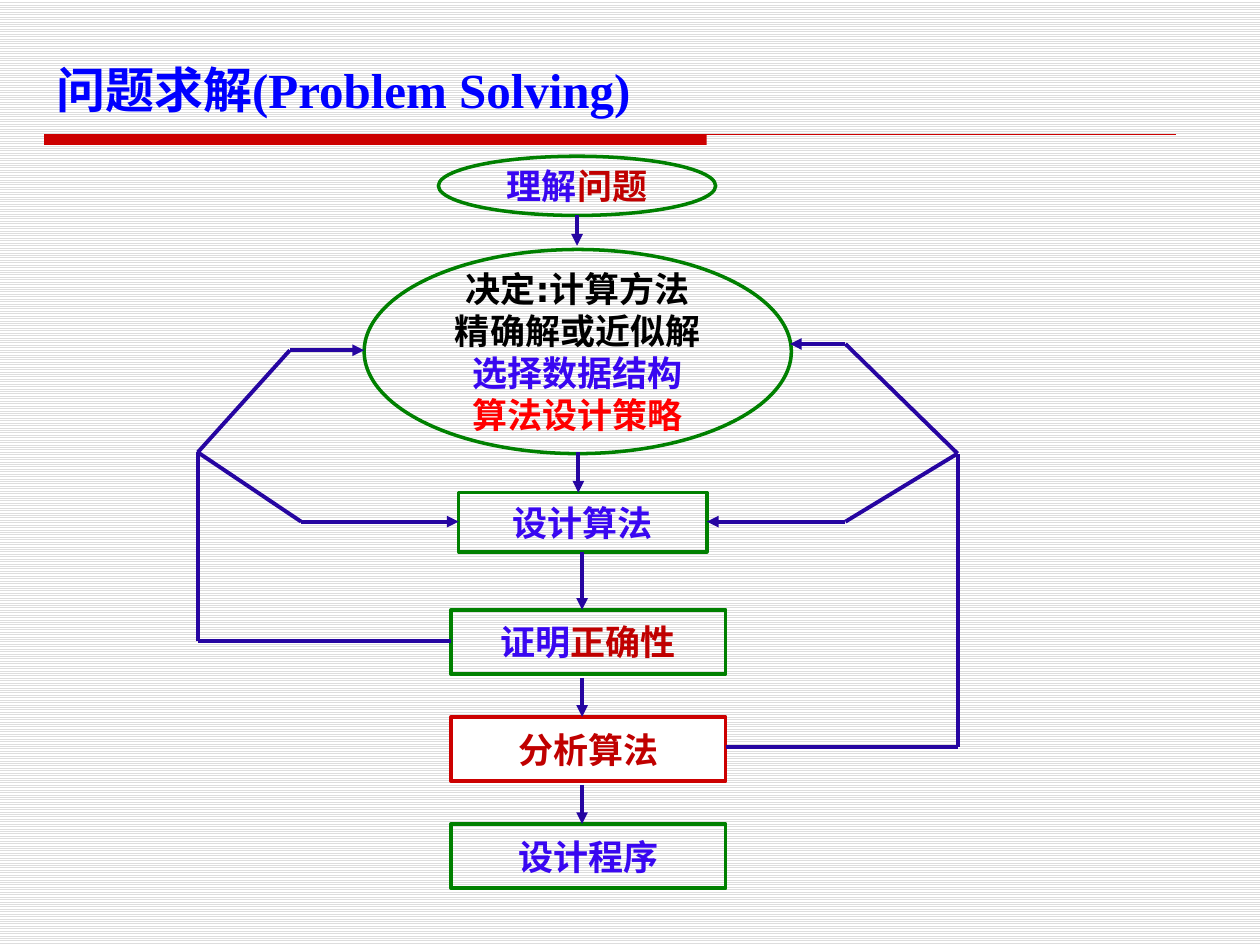
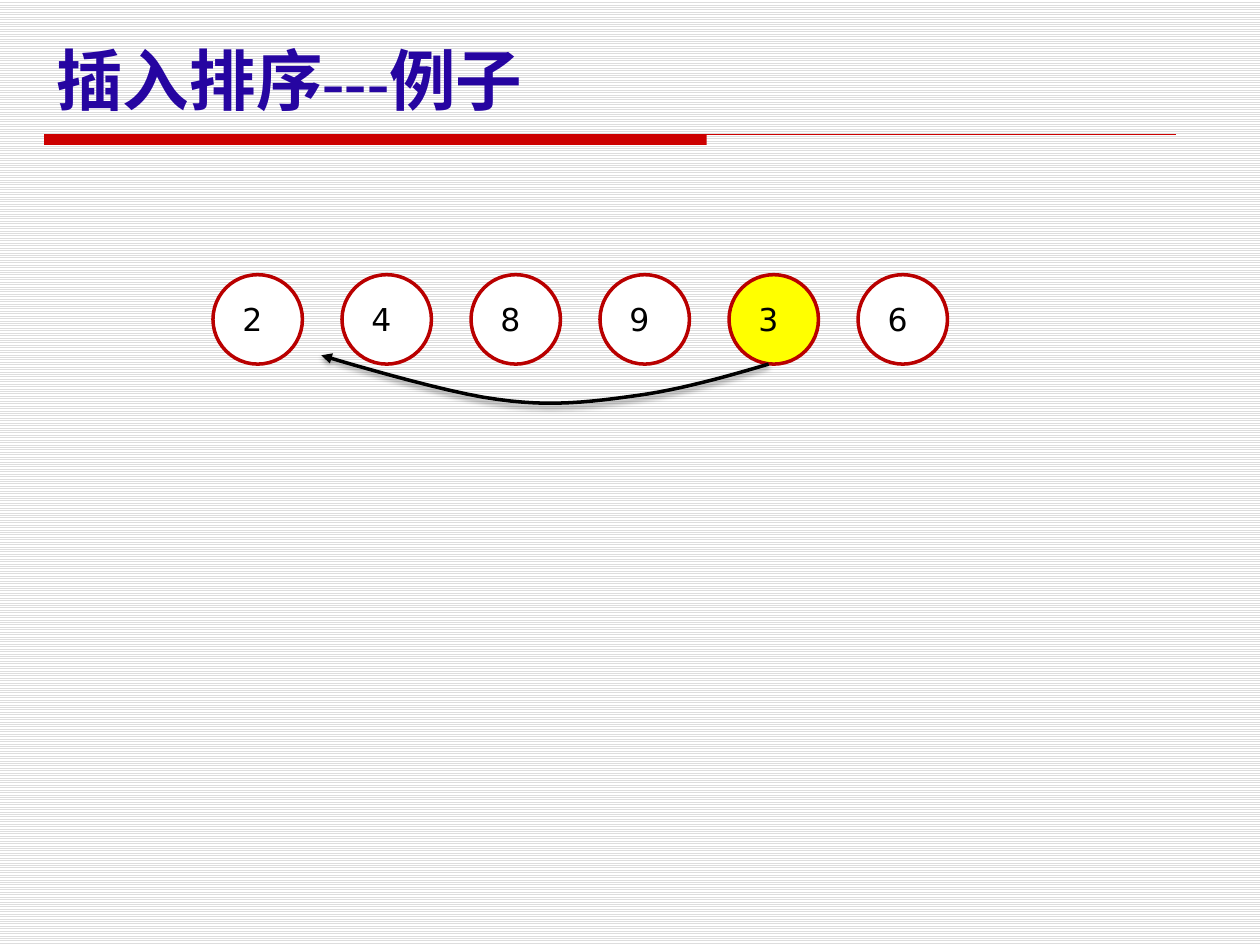
from dataclasses import dataclass
from itertools import pairwise

from lxml import etree
from pptx import Presentation
from pptx.dml.color import RGBColor
from pptx.enum.dml import MSO_PATTERN
from pptx.enum.shapes import MSO_CONNECTOR, MSO_SHAPE
from pptx.enum.text import MSO_ANCHOR, PP_ALIGN
from pptx.oxml.ns import qn
from pptx.util import Inches, Pt


@dataclass(frozen=True)
class Theme:
    stripe: str = "DDDDDD"
    white: str = "FFFFFF"
    black: str = "000000"
    band: str = "CC0000"
    blue: str = "0000FF"
    indigo: str = "2605A1"
    violet: str = "3907F1"
    crimson: str = "C00000"
    red: str = "FF0000"
    green: str = "008000"
    ring: str = "B90000"
    yellow: str = "FFFF00"
    title_font: str = "Times New Roman"
    step_font: str = "Arial"
    body_font: str = "DejaVu Sans"
    step_size: int = 20
    number_size: int = 18
    outline: float = 2
    arrow: float = 2.25
    hairline: float = 0.75


THEME = Theme()


def rgb(value):
    return RGBColor.from_string(value)


def write(shape, lines, color_free_format, align, anchor, margins=None, wrap=False):
    """Fill the shape with lines, each a list of (text, colour) runs."""
    frame = shape.text_frame
    settings = {"word_wrap": wrap, "vertical_anchor": anchor, **(margins or {})}
    for name, value in settings.items():
        setattr(frame, name, value)
    for index, runs in enumerate(lines):
        paragraph = frame.add_paragraph() if index else frame.paragraphs[0]
        paragraph.alignment = align
        for text, color in runs:
            run = paragraph.add_run()
            run.text = text
            for name, value in color_free_format.items():
                setattr(run.font, name, value)
            run.font.color.rgb = rgb(color)


def add_outlined(slide, kind, left, top, width, height, outline, fill=None):
    shape = slide.shapes.add_shape(
        kind, Inches(left), Inches(top), Inches(width), Inches(height))
    shape.shadow.inherit = False
    if fill:
        shape.fill.solid()
        shape.fill.fore_color.rgb = rgb(fill)
    else:
        shape.fill.background()
    if outline:
        shape.line.color.rgb = rgb(outline)
        shape.line.width = Pt(THEME.outline)
    else:
        shape.line.fill.background()
    return shape


def add_arrowhead(shape):
    line = shape.element.spPr.find(qn("a:ln"))
    etree.SubElement(line, qn("a:tailEnd"), type="triangle")


def add_route(slide, points, color, width, arrow=False):
    """Join the points with straight connectors, the last one with an arrowhead if asked."""
    for start, end in pairwise(points):
        segment = slide.shapes.add_connector(
            MSO_CONNECTOR.STRAIGHT, *map(Inches, (*start, *end)))
        segment.line.color.rgb = rgb(color)
        segment.line.width = Pt(width)
        etree.SubElement(segment.element.spPr, qn("a:effectLst"))
    if arrow:
        add_arrowhead(segment)


def add_title_band(slide, left, top, width):
    add_outlined(slide, MSO_SHAPE.RECTANGLE, left, top, 5.26, 0.08, None, THEME.band)
    add_route(slide, [(left, top), (left + width, top)], THEME.band, THEME.hairline)


def add_titled_slide(deck, title, size, color):
    slide = deck.slides.add_slide(deck.slide_layouts[6])
    backdrop = slide.background.fill
    backdrop.patterned()
    backdrop.pattern = MSO_PATTERN.LIGHT_HORIZONTAL
    backdrop.fore_color.rgb = rgb(THEME.stripe)
    backdrop.back_color.rgb = rgb(THEME.white)
    add_title_band(slide, 0.35, 1.07, 8.98)
    heading = slide.shapes.add_textbox(
        Inches(0.35), Inches(0.33), Inches(9.37), Inches(0.66))
    write(heading, [[(title, color)]],
          {"name": THEME.title_font, "size": Pt(size), "bold": True},
          PP_ALIGN.LEFT, MSO_ANCHOR.BOTTOM, wrap=True)
    return slide


def add_flowchart(slide, left, top):
    def node(kind, x, y, width, height, font, lines, outline=THEME.green, fill=None):
        shape = add_outlined(
            slide, kind, left + x, top + y, width, height, outline, fill)
        write(shape, lines,
              {"name": font, "size": Pt(THEME.step_size), "bold": True},
              PP_ALIGN.CENTER, MSO_ANCHOR.MIDDLE)

    def route(points, arrow=True):
        add_route(slide, [(left + x, top + y) for x, y in points],
                  THEME.indigo, THEME.arrow, arrow)

    final_steps = [
        ([("证明", THEME.violet), ("正确性", THEME.crimson)], THEME.green, None),
        ([("分析算法", THEME.crimson)], THEME.band, THEME.white),
        ([("设计程序", THEME.violet)], THEME.green, None),
    ]
    for row, (runs, outline, fill) in enumerate(final_steps):
        node(MSO_SHAPE.RECTANGLE, 2.01, 3.6 + 0.85 * row, 2.18, 0.51,
             THEME.step_font, [runs], outline, fill)

    node(MSO_SHAPE.OVAL, 1.91, 0, 2.2, 0.47, THEME.body_font,
         [[("理解", THEME.violet), ("问题", THEME.crimson)]])
    node(MSO_SHAPE.OVAL, 1.32, 0.74, 3.39, 1.62, THEME.body_font, [
        [("决定:计算方法", THEME.black)],
        [("精确解或近似解", THEME.black)],
        [("选择数据结构", THEME.violet)],
        [("算法设计策略", THEME.red)],
    ])
    node(MSO_SHAPE.RECTANGLE, 2.07, 2.67, 1.97, 0.47, THEME.body_font,
         [[("设计算法", THEME.violet)]])

    for x, start, end in [(3.01, 0.47, 0.71), (3.02, 2.35, 2.67), (3.05, 3.14, 3.6),
                          (3.05, 4.14, 4.45), (3.05, 4.99, 5.3)]:
        route([(x, start), (x, end)])

    proof_fork, analysis_fork = (0, 2.35), (6.03, 2.36)
    route([(2.01, 3.85), (0, 3.85), proof_fork], arrow=False)
    route([proof_fork, (0.73, 1.54), (1.32, 1.54)])
    route([proof_fork, (0.82, 2.9), (2.07, 2.9)])
    route([(4.19, 4.69), (6.03, 4.69), analysis_fork], arrow=False)
    route([analysis_fork, (5.14, 1.49), (4.7, 1.49)])
    route([analysis_fork, (5.14, 2.9), (4.04, 2.9)])


def add_number_row(slide, left, top, width, numbers, moving):
    diameter = 0.71
    pitch = (width - diameter) / (len(numbers) - 1)
    margins = {"margin_left": Inches(0.13)}
    margins |= {f"margin_{side}": Inches(0.05) for side in ("right", "top", "bottom")}
    for index, number in enumerate(numbers):
        fill = THEME.yellow if number == moving else THEME.white
        circle = add_outlined(slide, MSO_SHAPE.OVAL, left + index * pitch, top,
                              diameter, diameter, THEME.ring, fill)
        write(circle, [[(str(number), THEME.black)]],
              {"name": THEME.body_font, "size": Pt(THEME.number_size)},
              PP_ALIGN.LEFT, MSO_ANCHOR.MIDDLE, margins, wrap=True)


def bezier_points(controls, steps=12):
    """Sample a chain of cubic curves whose end points are shared."""
    points = [controls[0]]
    for first in range(0, len(controls) - 1, 3):
        a, b, c, d = controls[first:first + 4]
        for step in range(1, steps + 1):
            t = step / steps
            u = 1 - t
            weights = (u ** 3, 3 * u * u * t, 3 * u * t * t, t ** 3)
            points.append(tuple(
                sum(w * value for w, value in zip(weights, axis))
                for axis in zip(a, b, c, d)))
    return points


def add_insertion_arrow(slide, left, top):
    controls = [(3.55, 0.07), (3.21, 0.17), (2.86, 0.27), (2.5, 0.32), (2.14, 0.37),
                (1.82, 0.41), (1.4, 0.35), (0.98, 0.3), (0, 0), (0, 0)]
    start, *rest = [(Inches(left + x), Inches(top + y))
                    for x, y in bezier_points(controls)]
    builder = slide.shapes.build_freeform(*start)
    builder.add_line_segments(rest, close=False)
    curve = builder.convert_to_shape()
    curve.fill.background()
    curve.line.color.rgb = rgb(THEME.black)
    curve.line.width = Pt(THEME.outline)
    add_arrowhead(curve)
    curve.shadow.inherit = False
    shadow = etree.SubElement(
        curve.element.spPr.find(qn("a:effectLst")), qn("a:outerShdw"),
        blurRad=str(Pt(3.1)), dist=str(Pt(1.6)), dir="5400000", rotWithShape="0")
    tint = etree.SubElement(shadow, qn("a:srgbClr"), val=THEME.black)
    etree.SubElement(tint, qn("a:alpha"), val="38000")


def main():
    deck = Presentation()
    deck.slide_width, deck.slide_height = Inches(10), Inches(7.5)

    solving = add_titled_slide(deck, "问题求解(Problem Solving)", 28, THEME.blue)
    add_flowchart(solving, 1.57, 1.24)

    sorting = add_titled_slide(deck, "插入排序---例子", 38, THEME.indigo)
    add_number_row(sorting, 1.69, 2.18, 5.83, [2, 4, 8, 9, 3, 6], moving=3)
    add_insertion_arrow(sorting, 2.55, 2.82)

    deck.save("out.pptx")


if __name__ == "__main__":
    main()
